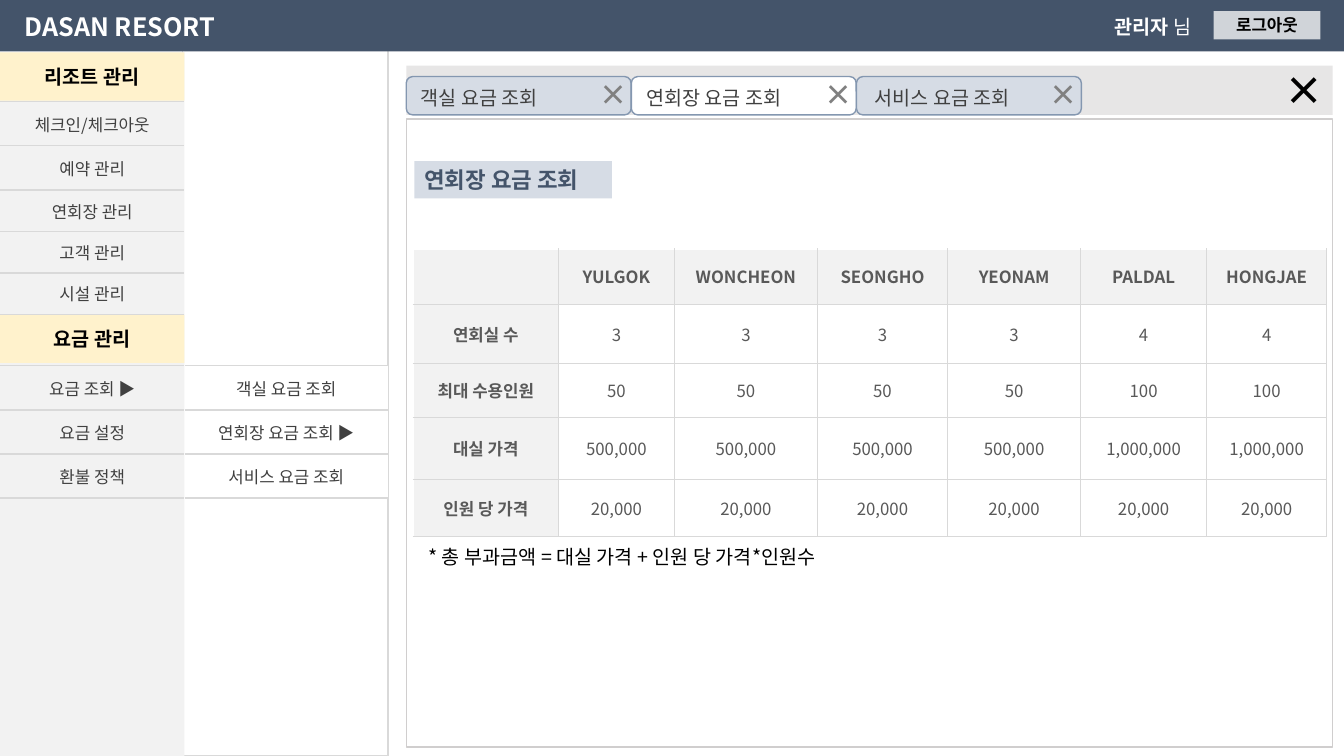
"""Build the banquet hall fee page of the resort administration screen."""
from dataclasses import dataclass
from itertools import accumulate
from typing import NamedTuple

from lxml import etree
from pptx import Presentation
from pptx.dml.color import RGBColor
from pptx.enum.shapes import MSO_SHAPE
from pptx.enum.text import MSO_ANCHOR, MSO_AUTO_SIZE, PP_ALIGN
from pptx.oxml.ns import qn
from pptx.shapes.autoshape import Shape
from pptx.slide import Slide
from pptx.table import Table, _Cell
from pptx.text.text import TextFrame
from pptx.util import Inches, Pt

RECT, ROUNDED = MSO_SHAPE.RECTANGLE, MSO_SHAPE.ROUNDED_RECTANGLE
LEFT, CENTER = PP_ALIGN.LEFT, PP_ALIGN.CENTER
TOP, MIDDLE = MSO_ANCHOR.TOP, MSO_ANCHOR.MIDDLE
GROW, FIXED = MSO_AUTO_SIZE.SHAPE_TO_FIT_TEXT, MSO_AUTO_SIZE.NONE
TITLE_ONLY = 5

FONT = "Noto Sans CJK KR"
WIDTH, HEIGHT = Inches(13.333), Inches(7.5)
COLORS = {
    "white": "FFFFFF", "black": "000000", "navy": "44546A", "cream": "FFF2CC",
    "pale_blue": "D6DCE5", "tab_line": "8497B0", "strip": "E7E6E6",
    "panel_line": "D0CECE", "rule": "D9D9D9", "side": "F2F2F2",
    "menu_text": "404040", "fee_text": "595959", "cross": "808080",
}
SIDE_W = 13.73
BAND_H = 6.4
MENU_ROW = 5.83
CONTENT_X, CONTENT_W = 30.23, 68.93
TAB_STEP, TAB_W = 16.75, 16.73


class Area(NamedTuple):
    """Left, top, width and height in percent of the slide."""
    x: float
    y: float
    w: float
    h: float

    def emu(self) -> tuple[int, int, int, int]:
        return across(self.x), down(self.y), across(self.w), down(self.h)


class Words(NamedTuple):
    text: str
    size: float
    color: str
    bold: bool = False


class Border(NamedTuple):
    color: str
    points: float


@dataclass(frozen=True)
class Menu:
    x: float
    y: float
    w: float
    fill: str
    rows: tuple[float, ...]
    entries: tuple[str, ...]


@dataclass(frozen=True)
class Tab:
    label: str
    fill: str
    inset: float


RULE, THIN, BLANK = Border("rule", 1), Border("rule", 0.75), Border("white", 1)

MENUS = (
    Menu(0, 13.47, SIDE_W, "side", (MENU_ROW, MENU_ROW, 5.55, 5.45, 5.45),
         ("체크인/체크아웃", "예약 관리", "연회장 관리", "고객 관리", "시설 관리")),
    Menu(0, 48.4, SIDE_W, "side", (MENU_ROW,) * 3,
         ("요금 조회 ▶", "요금 설정", "환불 정책")),
    Menu(SIDE_W, 48.4, 15.15, "white", (MENU_ROW,) * 3,
         ("객실 요금 조회", "연회장 요금 조회 ▶", "서비스 요금 조회")),
)
SIDE_HEADINGS = (("리조트 관리", 6.93), ("요금 관리", 41.6))
TABS = (
    Tab("객실 요금 조회", "pale_blue", 0.35),
    Tab("연회장 요금 조회", "white", 0.35),
    Tab("서비스 요금 조회", "pale_blue", 0.6),
)
FEE_COLUMNS = (10.8, 8.63, 10.65, 9.68, 9.9, 9.38, 8.93)
FEE_ROWS = (7.33, 7.87, 7.07, 8.27, 7.47)
FEES = (
    ("", "YULGOK", "WONCHEON", "SEONGHO", "YEONAM", "PALDAL", "HONGJAE"),
    ("연회실 수", "3", "3", "3", "3", "4", "4"),
    ("최대 수용인원", "50", "50", "50", "50", "100", "100"),
    ("대실 가격",) + ("500,000",) * 4 + ("1,000,000",) * 2,
    ("인원 당 가격",) + ("20,000",) * 6,
)


def across(share: float) -> int:
    return round(WIDTH * share / 100)


def down(share: float) -> int:
    return round(HEIGHT * share / 100)


def rgb(name: str) -> RGBColor:
    return RGBColor.from_string(COLORS[name])


def write(frame: TextFrame, words: tuple[Words, ...], align: PP_ALIGN) -> None:
    paragraph = frame.paragraphs[0]
    paragraph.alignment = align
    for part in words:
        run = paragraph.add_run()
        run.text = part.text
        run.font.size, run.font.bold = Pt(part.size), part.bold
        run.font.color.rgb = rgb(part.color)
        run.font.name = FONT
        etree.SubElement(run._r.get_or_add_rPr(), qn("a:ea"), typeface=FONT)


def add_block(slide: Slide, area: Area, fill: str, line: str = "",
              words: tuple[Words, ...] = (), kind: MSO_SHAPE = RECT) -> Shape:
    block = slide.shapes.add_shape(kind, *area.emu())
    block.shadow.inherit = False
    block.fill.solid()
    block.fill.fore_color.rgb = rgb(fill)
    if line:
        block.line.color.rgb, block.line.width = rgb(line), Pt(1)
    else:
        block.line.fill.background()
    block.text_frame.vertical_anchor = MIDDLE
    if words:
        write(block.text_frame, words, CENTER)
    return block


def add_text(slide: Slide, area: Area, *words: Words, align: PP_ALIGN = LEFT) -> None:
    frame = slide.shapes.add_textbox(*area.emu()).text_frame
    frame.word_wrap, frame.auto_size = True, GROW
    write(frame, words, align)


def add_grid(slide: Slide, x: float, y: float, columns: tuple[float, ...],
             rows: tuple[float, ...]) -> Table:
    area = Area(x, y, sum(columns), sum(rows))
    table = slide.shapes.add_table(len(rows), len(columns), *area.emu()).table
    table.first_row = table.horz_banding = False
    for column, share in zip(table.columns, columns):
        column.width = across(share)
    for row, share in zip(table.rows, rows):
        row.height = down(share)
    return table


def fill_cell(cell: _Cell, words: Words, fill: str, **borders: Border) -> None:
    for side in "LRTB":
        border = borders.get(side)
        edge = etree.SubElement(cell._tc.get_or_add_tcPr(), qn(f"a:ln{side}"))
        if border:
            edge.set("w", str(Pt(border.points)))
            paint = etree.SubElement(edge, qn("a:solidFill"))
            etree.SubElement(paint, qn("a:srgbClr"), val=COLORS[border.color])
        else:
            etree.SubElement(edge, qn("a:noFill"))
    cell.fill.solid()
    cell.fill.fore_color.rgb = rgb(fill)
    cell.vertical_anchor = MIDDLE
    if words.text:
        write(cell.text_frame, (words,), CENTER)


def add_menu(slide: Slide, menu: Menu) -> None:
    table = add_grid(slide, menu.x, menu.y, (menu.w,), menu.rows)
    for row, entry in enumerate(menu.entries):
        fill_cell(table.cell(row, 0), Words(entry, 12, "menu_text"), menu.fill, T=RULE, B=RULE)


def add_fees(slide: Slide) -> None:
    table = add_grid(slide, 30.75, 32.93, FEE_COLUMNS, FEE_ROWS)
    for row, fees in enumerate(FEES):
        for column, fee in enumerate(fees):
            heading = row == 0 or column == 0
            fill_cell(table.cell(row, column), Words(fee, 12, "fee_text", heading),
                      "side" if heading else "white", L=THIN if column else BLANK,
                      R=THIN, T=THIN if row else BLANK, B=THIN)


def add_tab(slide: Slide, x: float, tab: Tab) -> None:
    add_block(slide, Area(x, 10.13, TAB_W, 5.07), tab.fill, "tab_line", kind=ROUNDED)
    add_text(slide, Area(x + 13.65, 9.6, 3.6, 5.87), Words("×", 20, "cross", True))
    add_text(slide, Area(x + tab.inset, 10.67, 12.9, 4.53), Words(tab.label, 14, "menu_text"))


def place_title(slide: Slide) -> None:
    title = slide.shapes.title
    title.left, title.top, title.width, title.height = Area(30.83, 21.33, 14.7, 4.93).emu()
    title.fill.solid()
    title.fill.fore_color.rgb = rgb("pale_blue")
    title.text_frame.auto_size, title.text_frame.vertical_anchor = FIXED, TOP
    write(title.text_frame, (Words("연회장 요금 조회", 16, "navy", True),), LEFT)
    title.element.getparent().append(title.element)


def main() -> None:
    deck = Presentation()
    deck.slide_width, deck.slide_height = WIDTH, HEIGHT
    slide = deck.slides.add_slide(deck.slide_layouts[TITLE_ONLY])

    add_block(slide, Area(CONTENT_X, 8.67, CONTENT_W, 6.53), "strip")
    add_block(slide, Area(13.58, 6.67, 15.3, 93.33), "white", "rule")
    add_block(slide, Area(0, 6.93, SIDE_W, 93.07), "side")
    for heading, y in SIDE_HEADINGS:
        add_block(slide, Area(0, y, SIDE_W, BAND_H), "cream",
                  words=(Words(heading, 14, "black", True),))
    for menu in MENUS:
        add_menu(slide, menu)

    add_block(slide, Area(0, 0, 100, 6.8), "navy")
    add_text(slide, Area(0, 0.8, 17.85, 5.33), Words("DASAN RESORT", 18, "white", True),
             align=CENTER)
    add_text(slide, Area(82.2, 1.33, 9, 4.53), Words("관리자", 14, "white", True),
             Words(" 님", 14, "white"))
    logout = add_block(slide, Area(90.3, 1.47, 7.95, 3.73), "white",
                       words=(Words("로그아웃", 12, "black", True),))
    tint = logout.element.spPr.find(f"{qn('a:solidFill')}/{qn('a:srgbClr')}")
    etree.SubElement(tint, qn("a:alpha"), val="75000")

    add_block(slide, Area(CONTENT_X, 15.73, CONTENT_W, 83.07), "white", "panel_line")
    add_text(slide, Area(94.8, 8.13, 5.2, 7.6), Words("×", 28, "black", True))
    add_fees(slide)
    add_text(slide, Area(31.13, 71.47, 68.18, 4.53),
             Words("* 총 부과금액 = 대실 가격 + 인원 당 가격*인원수", 14, "black"))
    starts = accumulate([TAB_STEP] * (len(TABS) - 1), initial=CONTENT_X)
    for x, tab in zip(starts, TABS):
        add_tab(slide, x, tab)
    place_title(slide)
    deck.save("out.pptx")


if __name__ == "__main__":
    main()
